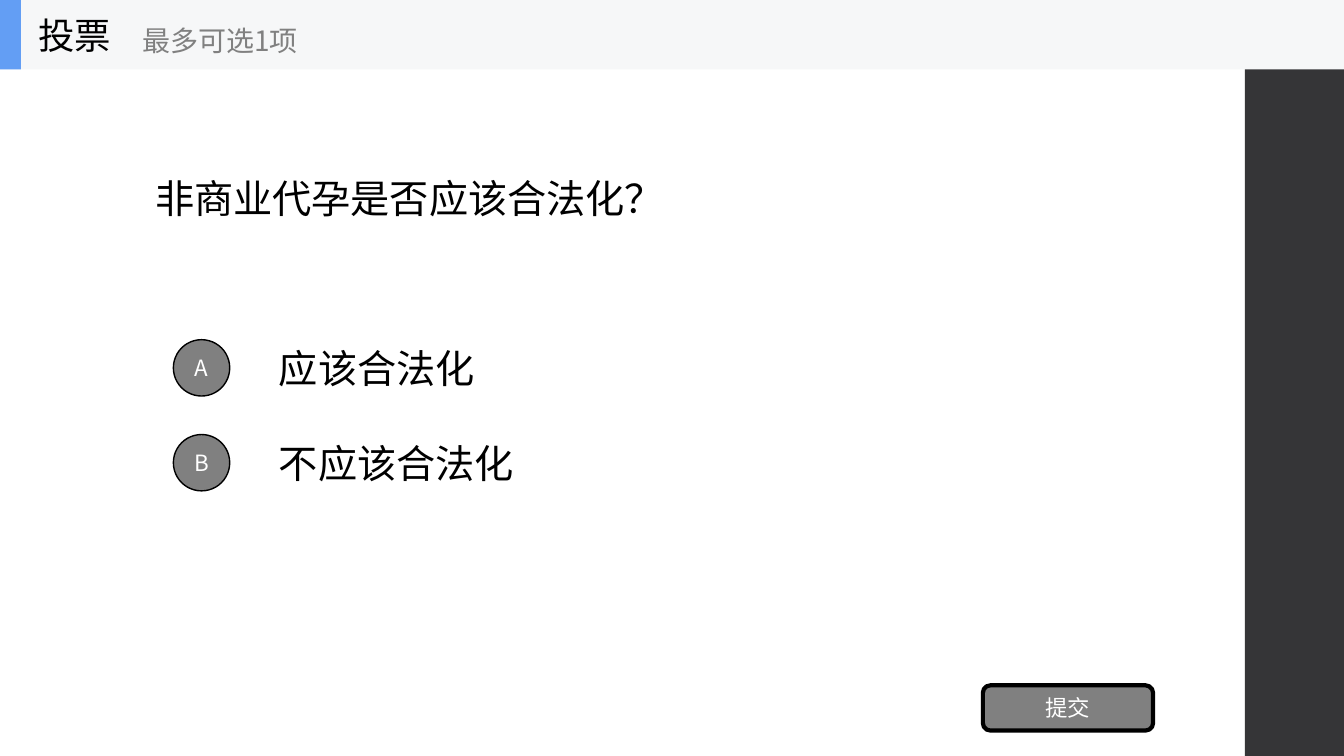
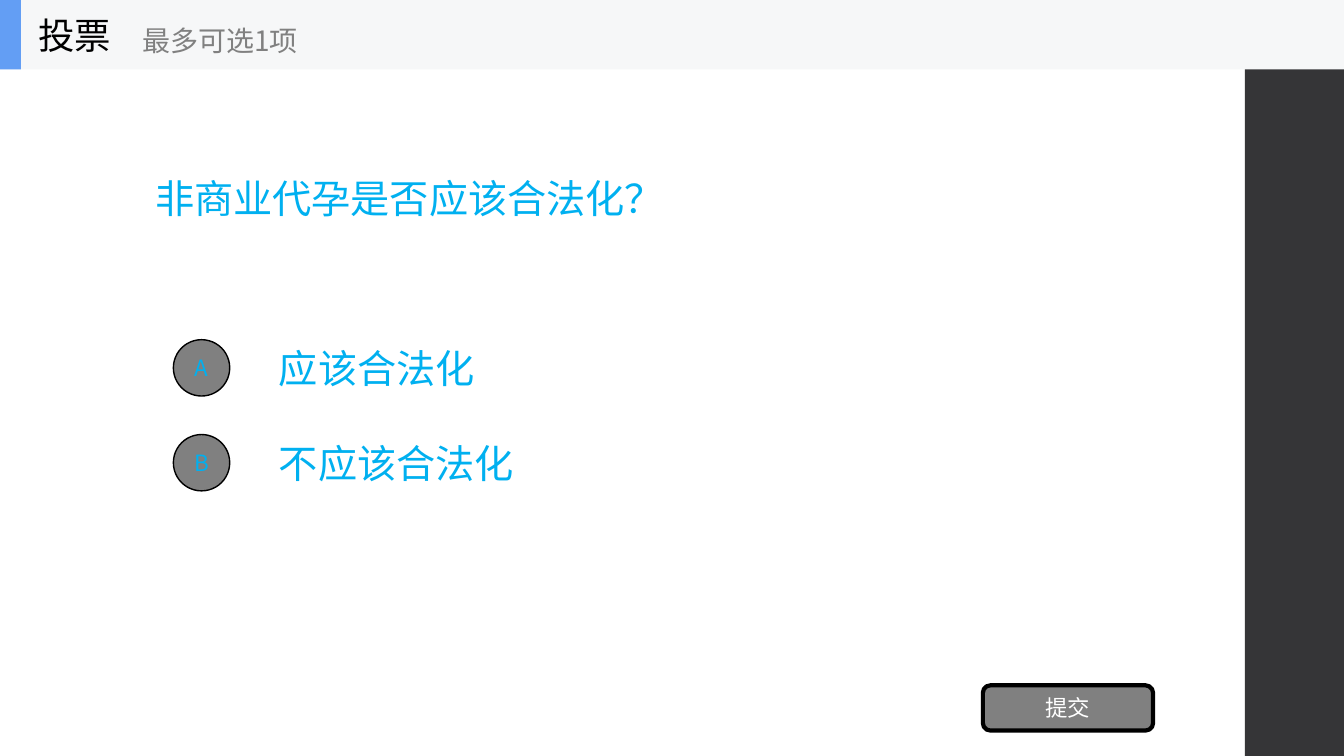
from collections import namedtuple
from dataclasses import dataclass

from lxml.etree import SubElement
from pptx import Presentation
from pptx.dml.color import RGBColor
from pptx.enum.lang import MSO_LANGUAGE_ID
from pptx.enum.shapes import MSO_SHAPE
from pptx.enum.text import MSO_ANCHOR, PP_ALIGN
from pptx.oxml.ns import qn
from pptx.util import Cm, Pt

Box = namedtuple("Box", "left top width height")
Style = namedtuple("Style", "size font color")


@dataclass(frozen=True)
class Theme:
    """Colours, fonts and type sizes of the deck."""
    black: str = "000000"
    white: str = "FFFFFF"
    grey: str = "808080"
    sidebar: str = "353537"
    band: str = "F6F7F8"
    accent: str = "639EF4"
    highlight: str = "00B0F0"
    body_font: str = "Noto Sans CJK JP"
    ui_font: str = "Noto Sans CJK SC"
    title_size: int = 26
    hint_size: int = 20
    body_size: int = 28
    control_size: int = 16


THEME = Theme()
SLIDE = Box(0, 0, 33.87, 19.05)
HEADER = Box(0, 0, SLIDE.width, 1.75)
SIDEBAR = Box(31.37, 0, 2.5, SLIDE.height)
QUESTION = Box(3.66, 2.72, 18, 4.52)
OPTIONS = Box(4.37, 8.38, 26.11, 4.17)
SUBMIT = Box(24.77, 17.27, 4.29, 1.14)


def write(shape, text, style, align=PP_ALIGN.LEFT):
    """Set one vertically centred paragraph of text in a shape."""
    frame = shape.text_frame
    frame.word_wrap = True
    frame.vertical_anchor = MSO_ANCHOR.MIDDLE
    paragraph = frame.paragraphs[0]
    paragraph.text = text
    paragraph.alignment = align
    font = paragraph.font
    font.size = Pt(style.size)
    font.color.rgb = RGBColor.from_string(style.color)
    font.name = style.font
    font.language_id = MSO_LANGUAGE_ID.SIMPLIFIED_CHINESE
    defaults = paragraph._p.find(qn("a:pPr")).find(qn("a:defRPr"))
    SubElement(defaults, qn("a:ea")).set("typeface", style.font)


def add_label(shapes, box, text, style):
    """Add a left-aligned text box."""
    write(shapes.add_textbox(*map(Cm, box)), text, style)


def add_panel(shapes, kind, box, fill, line_width=0):
    """Add a filled shape, outlined in black when a line width is given."""
    panel = shapes.add_shape(kind, *map(Cm, box))
    panel.shadow.inherit = False
    panel.fill.solid()
    panel.fill.fore_color.rgb = RGBColor.from_string(fill)
    if line_width:
        panel.line.color.rgb = RGBColor.from_string(THEME.black)
        panel.line.width = Pt(line_width)
    else:
        panel.line.fill.background()
    return panel


def add_header(slide, box, title, hint):
    """Add the grouped top band with accent, title and hint."""
    shapes = slide.shapes.add_group_shape().shapes
    left, top, _, height = box
    add_panel(shapes, MSO_SHAPE.RECTANGLE, box, THEME.band)
    add_panel(shapes, MSO_SHAPE.RECTANGLE, box._replace(width=0.53), THEME.accent)
    add_label(shapes, Box(left + 0.71, top, 5.28, height), title,
              Style(THEME.title_size, THEME.ui_font, THEME.black))
    add_label(shapes, Box(left + 3.33, top + 0.3, 6.35, 1.42), hint,
              Style(THEME.hint_size, THEME.ui_font, THEME.grey))


def add_options(slide, box, options, text_color, letter_color):
    """Add the lettered answers, one row each, down the box."""
    row_height, pitch, badge, indent = 1.78, 2.39, 1.42, 2.41
    for row, (letter, answer) in enumerate(options):
        top = box.top + row * pitch
        add_label(slide.shapes,
                  Box(box.left + indent, top, box.width - indent, row_height),
                  answer, Style(THEME.body_size, THEME.body_font, text_color))
        badge_box = Box(box.left, top + (row_height - badge) / 2, badge, badge)
        circle = add_panel(slide.shapes, MSO_SHAPE.OVAL, badge_box, THEME.grey, 1)
        circle.text_frame.margin_left = circle.text_frame.margin_right = 0
        write(circle, letter,
              Style(THEME.control_size, THEME.ui_font, letter_color), PP_ALIGN.CENTER)


def add_submit(slide, box, caption):
    """Add the submit button."""
    button = add_panel(slide.shapes, MSO_SHAPE.ROUNDED_RECTANGLE, box, THEME.grey, 3)
    write(button, caption,
          Style(THEME.control_size, THEME.ui_font, THEME.white), PP_ALIGN.CENTER)


def add_poll(deck, question, options, text_color, letter_color):
    """Add one poll slide in the given text colours."""
    slide = deck.slides.add_slide(deck.slide_layouts[6])
    add_panel(slide.shapes, MSO_SHAPE.RECTANGLE, SIDEBAR, THEME.sidebar)
    add_label(slide.shapes, QUESTION, question,
              Style(THEME.body_size, THEME.body_font, text_color))
    add_options(slide, OPTIONS, options, text_color, letter_color)
    add_submit(slide, SUBMIT, "提交")
    add_header(slide, HEADER, "投票", "最多可选1项")


def main():
    """Build and save the deck."""
    deck = Presentation()
    deck.slide_width, deck.slide_height = Cm(SLIDE.width), Cm(SLIDE.height)
    question = "非商业代孕是否应该合法化？"
    options = [("A", "应该合法化"), ("B", "不应该合法化")]
    add_poll(deck, question, options, THEME.black, THEME.white)
    add_poll(deck, question, options, THEME.highlight, THEME.highlight)
    deck.save("out.pptx")


if __name__ == "__main__":
    main()
